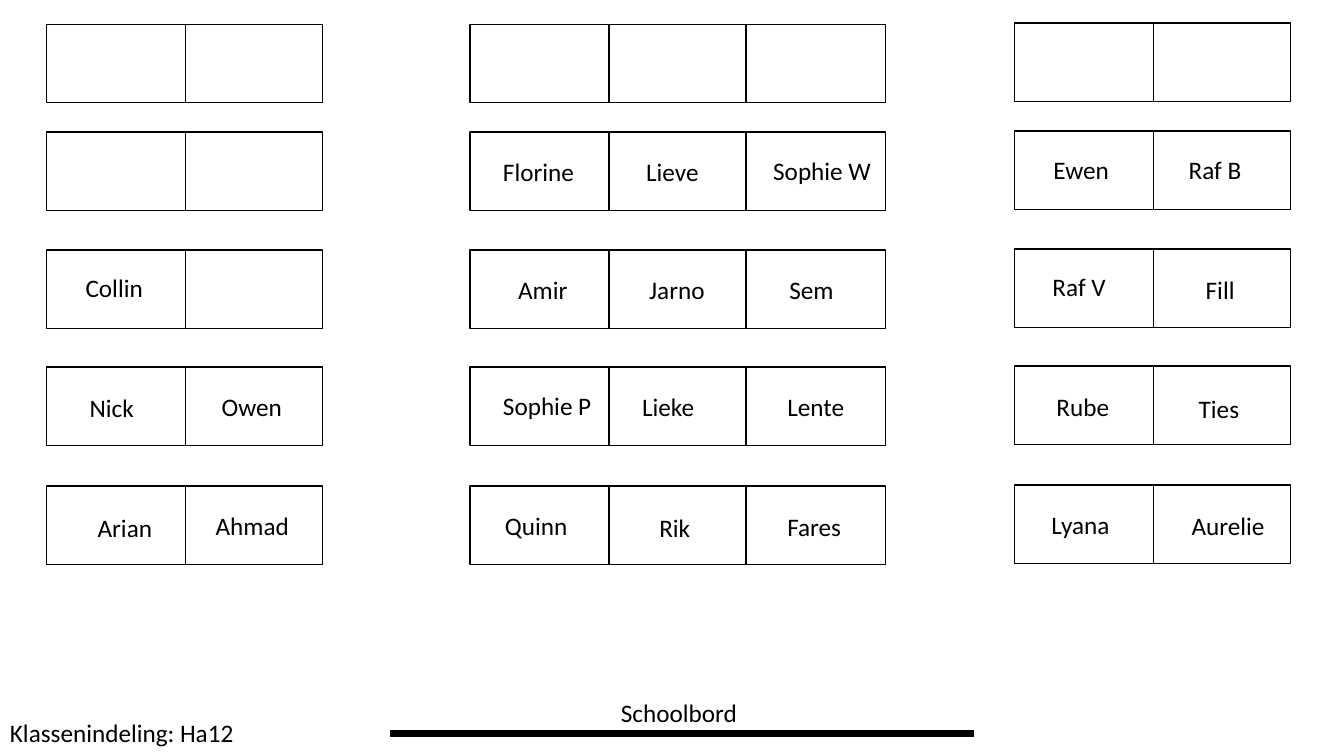
from pptx import Presentation
from pptx.dml.color import RGBColor
from pptx.enum.shapes import MSO_CONNECTOR, MSO_SHAPE
from pptx.enum.text import MSO_AUTO_SIZE
from pptx.oxml.ns import qn
from pptx.util import Pt
from lxml import etree

RECT = MSO_SHAPE.RECTANGLE
STRAIGHT = MSO_CONNECTOR.STRAIGHT
GROW = MSO_AUTO_SIZE.SHAPE_TO_FIT_TEXT

PX = 9144
COLORS = {"desk": "FFFFFF", "ink": "000000"}
DESK_W, DESK_H = 138, 78
ROW_TOPS = [482, 364, 248, 131, 24]
DESK_COLUMNS = [(602, 0), (466, 0), (740, 0), (1142, -1), (182, 0), (46, 0), (1006, -1)]
NAME_W, TEXT_H = 109, 40

PUPILS = [
    ("Florine", 489, 150), ("Lieve", 631, 150), ("Sophie W", 757, 149),
    ("Ewen", 1035, 148), ("Raf B", 1169, 148),
    ("Collin", 75, 265), ("Amir", 504, 267), ("Jarno", 634, 267),
    ("Sem", 773, 267), ("Raf V", 1034, 264), ("Fill", 1186, 267),
    ("Nick", 79, 384), ("Owen", 210, 383), ("Sophie P", 489, 382),
    ("Lieke", 627, 383), ("Lente", 771, 383), ("Rube", 1038, 383),
    ("Ties", 1179, 385),
    ("Arian", 87, 503), ("Ahmad", 204, 501), ("Quinn", 491, 501),
    ("Rik", 644, 503), ("Fares", 771, 502), ("Lyana", 1033, 500),
    ("Aurelie", 1172, 501),
]
WIDE_NAMES = {"Sophie W": 138, "Collin": 138, "Jarno": 135}


def px(*lengths):
    return [length * PX for length in lengths]


def color(name):
    return RGBColor.from_string(COLORS[name])


def add_text(s, text, x, y, w=NAME_W, h=TEXT_H, size=18, font="Calibri", ink="ink"):
    tf = s.shapes.add_textbox(*px(x, y, w, h)).text_frame
    tf.word_wrap = True
    tf.auto_size = GROW
    r = tf.paragraphs[0].add_run()
    r.text = text
    r.font.size = Pt(size)
    r.font.name = font
    r.font.color.rgb = color(ink)


def add_desk(s, x, y):
    sp = s.shapes.add_shape(RECT, *px(x, y, DESK_W, DESK_H))
    sp.shadow.inherit = False
    sp.fill.solid()
    sp.fill.fore_color.rgb = color("desk")
    sp.line.color.rgb = color("ink")
    sp.line.width = Pt(1)


def add_board(s, x1, x2, y):
    line = s.shapes.add_connector(STRAIGHT, *px(x1, y, x2, y))
    line.line.color.rgb = color("ink")
    line.line.width = Pt(4.75)
    etree.SubElement(line._element.spPr, qn("a:effectLst"))


def main():
    prs = Presentation()
    prs.slide_width, prs.slide_height = px(1333, 750)
    s = prs.slides.add_slide(prs.slide_layouts[6])

    for top in ROW_TOPS:
        for left, shift in DESK_COLUMNS:
            add_desk(s, left, top + shift)

    add_board(s, 387, 966, 728)
    add_text(s, "Schoolbord", 606, 687, w=296)
    for name, x, y in PUPILS:
        add_text(s, name, x, y, w=WIDE_NAMES.get(name, NAME_W))
    add_text(s, "Klassenindeling: Ha12", 0, 707, w=268)

    prs.save("out.pptx")


if __name__ == "__main__":
    main()
